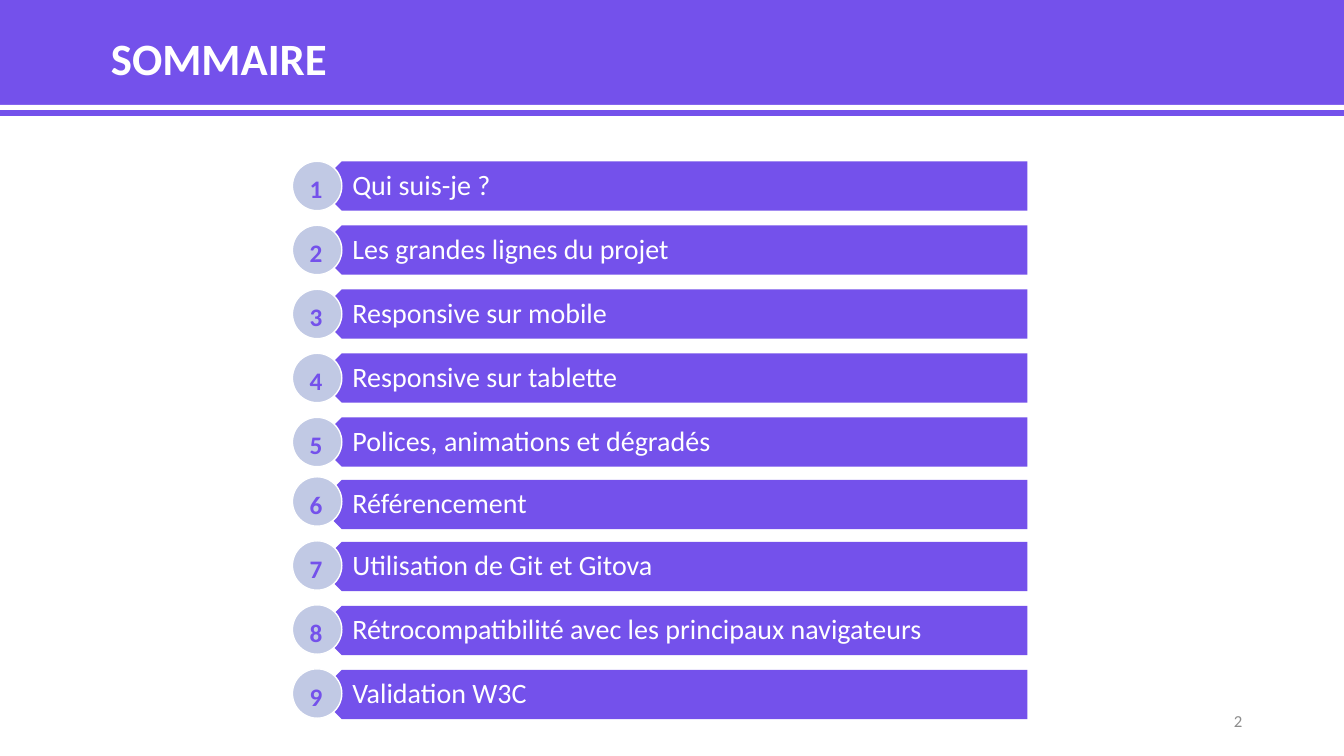
import pptx
import pptx.util
import pptx.dml.color
import pptx.enum.shapes
import pptx.enum.text

Inches = pptx.util.Inches
Pt = pptx.util.Pt
Shape = pptx.enum.shapes.MSO_SHAPE
Anchor = pptx.enum.text.MSO_ANCHOR
Align = pptx.enum.text.PP_ALIGN

PURPLE, LAVENDER, WHITE, GREY = "7451EB", "C1C9E4", "FFFFFF", "8C8C8C"
ROW_HEIGHT = 0.49
ROW_PITCH = (4.14 - 1.60) / 4

FIRST_TOPICS = [
    "Qui suis-je ?",
    "Les grandes lignes du projet",
    "Responsive sur mobile",
    "Responsive sur tablette",
    "Polices, animations et dégradés",
]
LAST_TOPICS = [
    "Référencement",
    "Utilisation de Git et Gitova",
    "Rétrocompatibilité avec les principaux navigateurs",
    "Validation W3C",
]


def color(hex_value):
    """Turn a hex string into a colour."""
    return pptx.dml.color.RGBColor.from_string(hex_value)


def add_block(shapes, kind, left, top, width, height, fill, line=None):
    """Add a flat preset shape, outlined only if a line colour is given."""
    shape = shapes.add_shape(kind, Inches(left), Inches(top), Inches(width), Inches(height))
    shape.shadow.inherit = False
    shape.fill.solid()
    shape.fill.fore_color.rgb = color(fill)
    if line:
        shape.line.color.rgb = color(line)
        shape.line.width = Pt(1)
    else:
        shape.line.fill.background()
    return shape


def write(shape, text, size, hex_value, bold=False, align=Align.LEFT,
          anchor=Anchor.MIDDLE, margins=(0.1, 0.05, 0.1, 0.05), spacing=None):
    """Write one formatted paragraph into a shape."""
    frame = shape.text_frame
    frame.word_wrap = True
    frame.vertical_anchor = anchor
    (frame.margin_left, frame.margin_top,
     frame.margin_right, frame.margin_bottom) = map(Inches, margins)
    paragraph = frame.paragraphs[0]
    paragraph.alignment = align
    paragraph.line_spacing = spacing
    run = paragraph.add_run()
    run.text = text
    run.font.name = "Calibri"
    run.font.size = Pt(size)
    run.font.bold = bold
    run.font.color.rgb = color(hex_value)


def add_header(slide, title, width, height):
    """Add the title band with its white stripe."""
    band = add_block(slide.shapes, Shape.RECTANGLE, 0, 0, width, height, PURPLE)
    write(band, title, 32, WHITE, bold=True, margins=(1.1, 0.05, 0.1, 0.05))
    add_block(slide.shapes, Shape.RECTANGLE, 0, height - 0.11, width, 0.05, WHITE)


def add_topic(slide, number, topic, left, top, width, bar_shift):
    """Add one agenda row: a pointed bar and its numbered badge."""
    bar_left = left + ROW_HEIGHT / 2
    bar_width = width - ROW_HEIGHT / 2
    bar_top = top + bar_shift
    group = slide.shapes.add_group_shape()
    bar = add_block(group.shapes, Shape.PENTAGON, bar_left, bar_top, bar_width, ROW_HEIGHT, PURPLE)
    bar.rotation = 180
    label = group.shapes.add_textbox(Inches(bar_left + 0.13), Inches(bar_top),
                                     Inches(bar_width - 0.13), Inches(ROW_HEIGHT))
    write(label, topic, 20, WHITE, margins=(0.22, 0.08, 0.16, 0.08), spacing=0.9)
    badge = add_block(slide.shapes, Shape.OVAL, left, top, ROW_HEIGHT, ROW_HEIGHT, LAVENDER, WHITE)
    write(badge, str(number), 18, PURPLE, bold=True, anchor=Anchor.TOP)


def add_agenda(slide, topics, first_number, left, top, width, bar_shifts):
    """Stack agenda rows at an equal pitch."""
    for index, (topic, bar_shift) in enumerate(zip(topics, bar_shifts)):
        add_topic(slide, first_number + index, topic, left, top + index * ROW_PITCH,
                  width, bar_shift)


def add_page_number(slide, number, left, top, width, height):
    """Add the page number, aligned right in its box."""
    box = slide.shapes.add_textbox(Inches(left), Inches(top), Inches(width), Inches(height))
    write(box, str(number), 12, GREY, align=Align.RIGHT)


def main():
    """Build the agenda slide and save it."""
    presentation = pptx.Presentation()
    presentation.slide_width = Inches(13.33)
    presentation.slide_height = Inches(7.5)
    slide = presentation.slides.add_slide(presentation.slide_layouts[6])
    add_header(slide, "SOMMAIRE", 13.33, 1.15)
    add_page_number(slide, 2, 9.42, 6.95, 3, 0.4)
    add_agenda(slide, FIRST_TOPICS, 1, 2.9, 1.6, 7.29, [0] * len(FIRST_TOPICS))
    add_agenda(slide, LAST_TOPICS, len(FIRST_TOPICS) + 1, 2.9, 4.73, 7.29, [0.03, 0.01, 0.01, 0.01])
    presentation.save("out.pptx")


if __name__ == "__main__":
    main()
